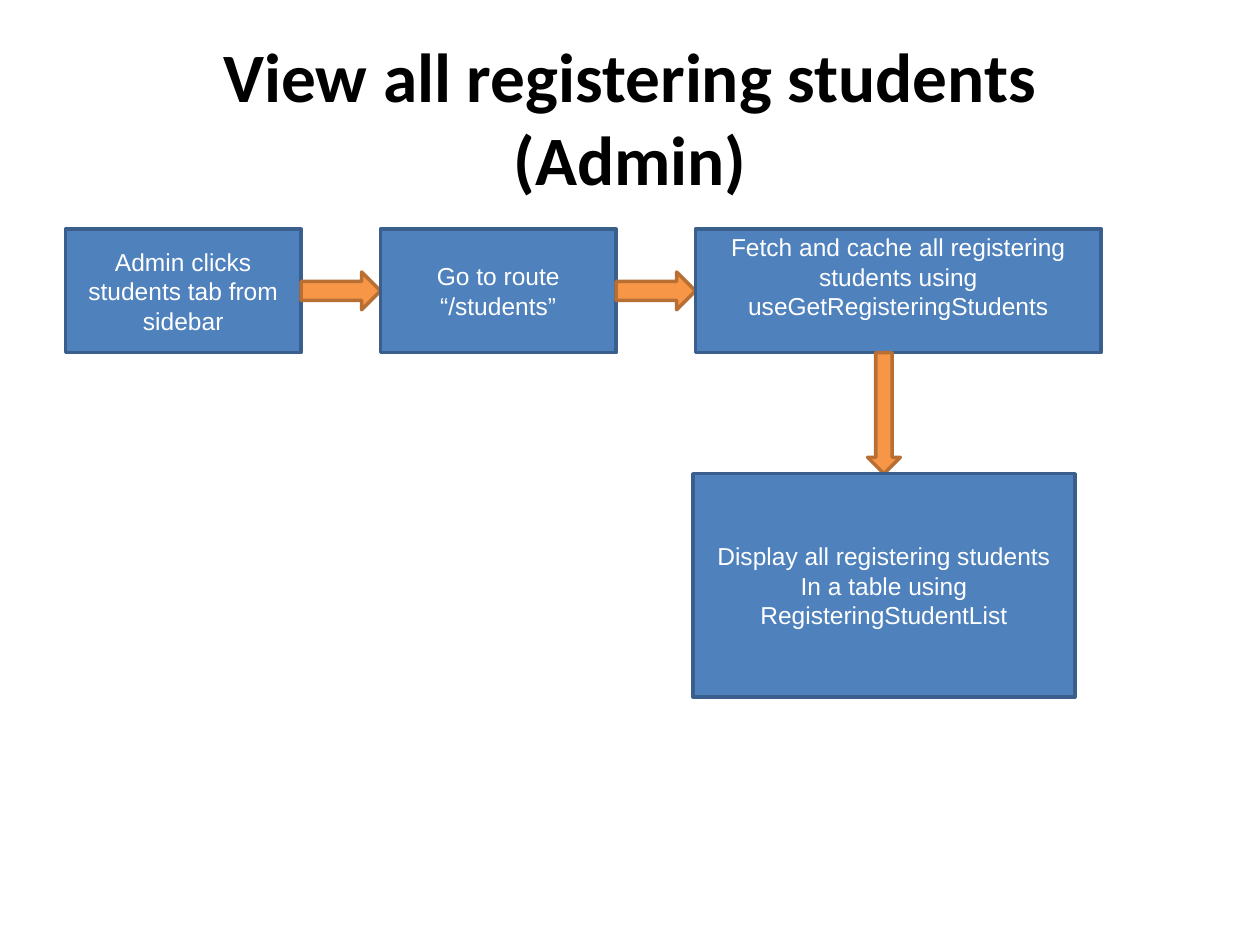
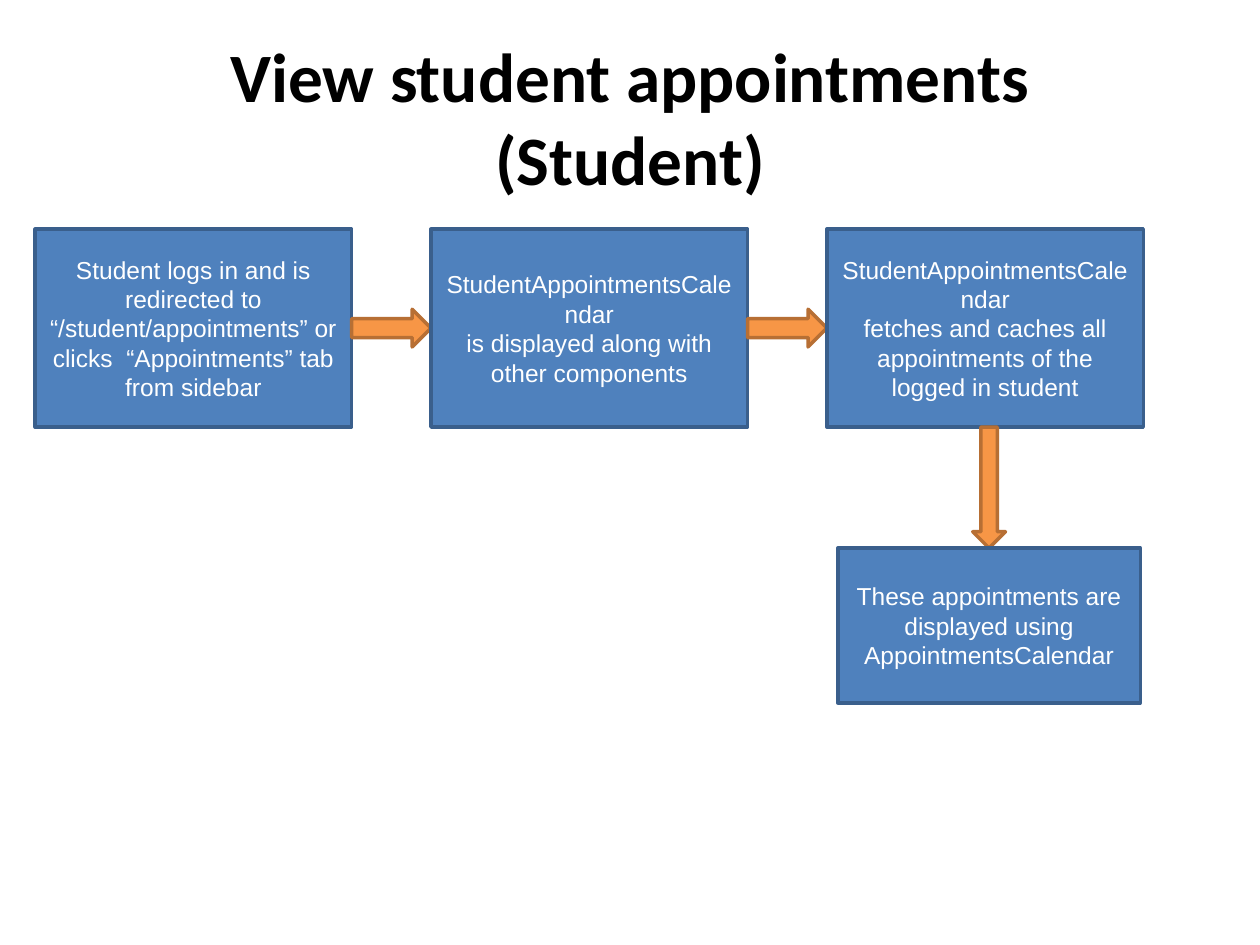
from pptx import Presentation
from pptx.dml.color import RGBColor
from pptx.enum.shapes import MSO_SHAPE
from pptx.enum.text import MSO_ANCHOR, MSO_AUTO_SIZE, PP_ALIGN
from pptx.util import Cm, Pt

BLUE, NAVY = "4F81BD", "3A5F8C"
ORANGE, BROWN = "F79646", "B76F34"
WHITE, BLACK = "FFFFFF", "000000"

TOP = 4.62          # top of the row of steps
GAP = 1.6           # length of an arrow between steps
DROP = 2.44         # length of the arrow down to the result
THICK, THIN = 0.76, 0.66
LINE = 0.59         # height of one line of step text


def color(code):
    return RGBColor.from_string(code)


def style(font, name, size, code, bold=False):
    font.name, font.size, font.bold = name, Pt(size), bold
    font.color.rgb = color(code)


def add_title(slide, text):
    title = slide.shapes.title
    title.left, title.top = Cm(1.27), Cm(0.76)
    title.width, title.height = Cm(22.86), Cm(3.18)
    frame = title.text_frame
    frame.text = text
    frame.auto_size = MSO_AUTO_SIZE.NONE
    frame.vertical_anchor = MSO_ANCHOR.MIDDLE
    para = frame.paragraphs[0]
    para.alignment = PP_ALIGN.CENTER
    style(para.font, "Calibri", 39.6, BLACK, True)


def add_block(slide, kind, left, top, width, height, fill, edge):
    block = slide.shapes.add_shape(
        kind, Cm(left), Cm(top), Cm(width), Cm(height))
    block.shadow.inherit = False
    block.fill.solid()
    block.fill.fore_color.rgb = color(fill)
    block.line.color.rgb = color(edge)
    block.line.width = Pt(2)
    return block


def add_step(slide, text, left, top, width, height, lift=0):
    """Add a box with text; lift is extra space kept free below the text."""
    box = add_block(slide, MSO_SHAPE.RECTANGLE, left, top, width, height,
                    BLUE, NAVY)
    frame = box.text_frame
    frame.word_wrap = True
    frame.vertical_anchor = MSO_ANCHOR.MIDDLE
    frame.margin_bottom += Cm(lift)
    frame.text = text
    for para in frame.paragraphs:
        para.alignment = PP_ALIGN.CENTER
        style(para.font, "Arial", 14, WHITE)


def add_flow(deck, title, left, height, steps, result, lift=0):
    """Add a slide with a row of (text, width) steps and a result below.

    The result is (text, left, width, height); lift applies to the last step.
    """
    slide = deck.slides.add_slide(deck.slide_layouts[5])
    add_title(slide, title)
    last = len(steps) - 1
    for num, (text, width) in enumerate(steps):
        add_step(slide, text, left, TOP, width, height,
                 lift if num == last else 0)
        left += width
        if num < last:
            add_block(slide, MSO_SHAPE.RIGHT_ARROW, left,
                      TOP + (height - THICK) / 2, GAP, THICK, ORANGE, BROWN)
            left += GAP

    text, left, width, tall = result
    base = TOP + height
    add_block(slide, MSO_SHAPE.DOWN_ARROW, left + (width - THIN) / 2, base,
              THIN, DROP, ORANGE, BROWN)
    add_step(slide, text, left, base + DROP, width, tall)


def main():
    deck = Presentation()
    deck.slide_width, deck.slide_height = Cm(25.4), Cm(19.05)

    add_flow(
        deck, "View all registering students\v(Admin)", 1.32, 2.49,
        [("Admin clicks students tab from sidebar", 4.75),
         ("Go to route “/students”", 4.75),
         ("Fetch and cache all registering students using "
          "useGetRegisteringStudents", 8.18)],
        ("Display all registering students\n"
         "In a table using RegisteringStudentList", 13.97, 7.7, 4.5),
        lift=LINE)

    wide = 6.38
    add_flow(
        deck, "View student appointments\v(Student)", 0.71, 3.99,
        [("Student logs in and is redirected to “/student/appointments” "
          "or clicks  “Appointments” tab from sidebar", wide),
         ("StudentAppointmentsCalendar\n"
          "is displayed along with other components", wide),
         ("StudentAppointmentsCalendar\n"
          "fetches and caches all appointments of the logged in student",
          wide)],
        ("These appointments are displayed using AppointmentsCalendar",
         16.89, 6.1, 3.12))

    deck.save("out.pptx")


if __name__ == "__main__":
    main()
